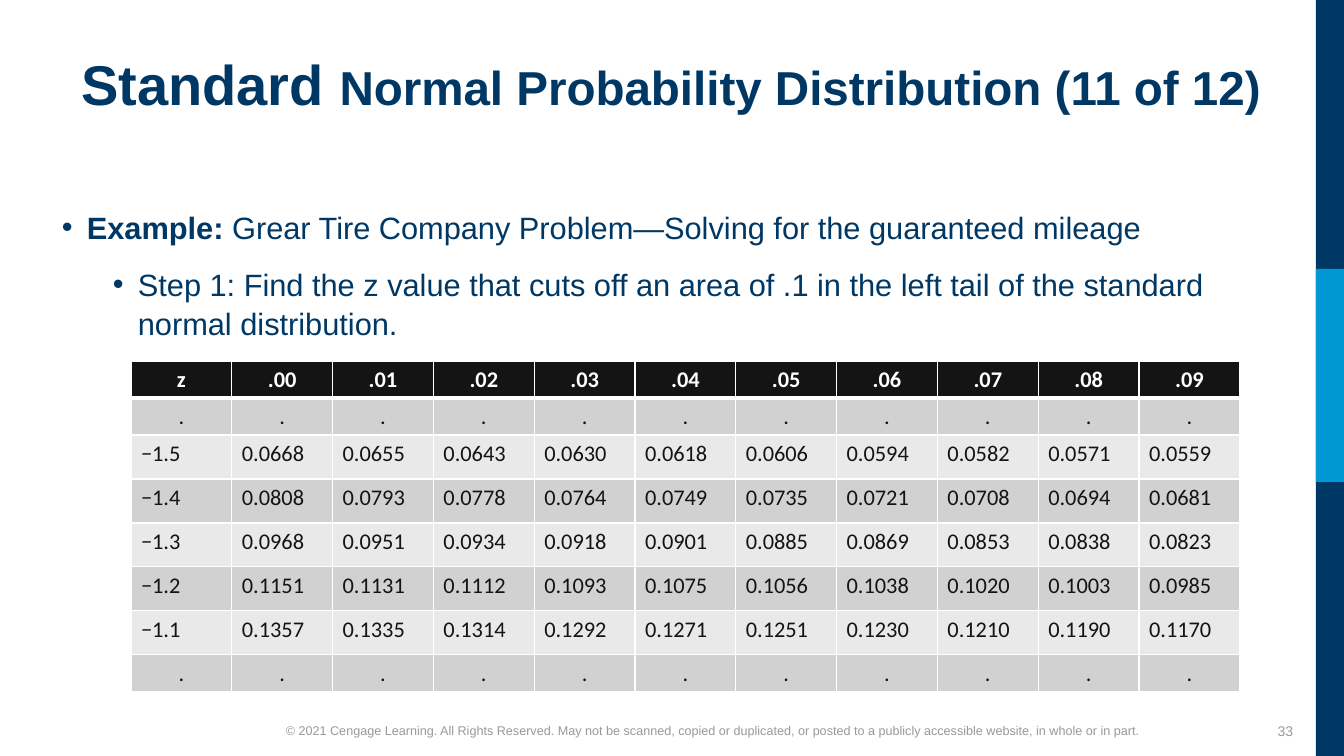
from lxml.etree import SubElement
from pptx import Presentation
from pptx.dml.color import RGBColor as RGB
from pptx.enum.shapes import MSO_SHAPE
from pptx.enum.text import MSO_ANCHOR as ANCHOR, MSO_AUTO_SIZE as AUTOSIZE, PP_ALIGN as ALIGN
from pptx.oxml.ns import qn
from pptx.util import Emu, Pt

THEME = {
    "navy": "003865", "sky": "0098D4", "grey": "96999E", "ink": "141414", "white": "FFFFFF",
    "dark_band": "D1D1D2", "light_band": "E9E9EA",
    "text_font": "Arial", "table_font": "Calibri",
    "title_lead": 40, "title_rest": 34, "body": 22, "table": 16, "page": 10, "legal": 9,
}


def px(*lengths):
    return [Emu(round(length * 914400 / 100.8)) for length in lengths]


def style(run, size, color, bold=False, font="text_font"):
    run.font.name = THEME[font]
    run.font.size = Pt(THEME[size])
    run.font.bold = bold
    run.font.color.rgb = RGB.from_string(THEME[color])


prs = Presentation()
prs.slide_width, prs.slide_height = px(1344, 756)
slide = prs.slides.add_slide(prs.slide_layouts[5])

for color, top, height in [("navy", 0, 756), ("sky", 269, 213)]:
    band = slide.shapes.add_shape(MSO_SHAPE.RECTANGLE, *px(1316, top, 28, height))
    band.shadow.inherit = False
    band.fill.solid()
    band.fill.fore_color.rgb = RGB.from_string(THEME[color])
    band.line.fill.background()

title = slide.shapes.title
title.left, title.top, title.width, title.height = px(52, 52, 1239, 134)
title.text_frame.auto_size = AUTOSIZE.NONE
title.text_frame.vertical_anchor = ANCHOR.TOP
heading = title.text_frame.paragraphs[0]
heading.alignment = ALIGN.CENTER
heading.line_spacing = 0.9
for words, size in [("Standard ", "title_lead"),
                    ("Normal Probability Distribution (11 of 12)", "title_rest")]:
    run = heading.add_run()
    run.text = words
    style(run, size, "navy", bold=True)

example = slide.shapes.add_textbox(*px(52, 202, 1239, 151)).text_frame
example.word_wrap = True
points = [
    (25, 0, [("Example: ", True),
             ("Grear Tire Company Problem—Solving for the guaranteed mileage", False)]),
    (76, 5, [("Step 1: Find the z value that cuts off an area of .1 in the left tail "
              "of the standard normal distribution.", False)]),
]
for level, (indent, before, pieces) in enumerate(points):
    point = example.add_paragraph() if level else example.paragraphs[0]
    point.level = level
    point.line_spacing = 1.05
    point.space_before, point.space_after = Pt(before), Pt(8)
    margin, hang = px(indent, -25)
    props = point._p.get_or_add_pPr()
    props.set("marL", str(margin))
    props.set("indent", str(hang))
    SubElement(SubElement(props, qn("a:buClr")), qn("a:srgbClr"), val=THEME["navy"])
    SubElement(props, qn("a:buFont"), typeface=THEME["text_font"])
    SubElement(props, qn("a:buChar"), char="•")
    for words, bold in pieces:
        run = point.add_run()
        run.text = words
        style(run, "body", "navy", bold)

dots = ["."] * 11
z_rows = [
    ["z"] + [f".0{digit}" for digit in range(10)],
    dots,
    "−1.5 0.0668 0.0655 0.0643 0.0630 0.0618 0.0606 0.0594 0.0582 0.0571 0.0559".split(),
    "−1.4 0.0808 0.0793 0.0778 0.0764 0.0749 0.0735 0.0721 0.0708 0.0694 0.0681".split(),
    "−1.3 0.0968 0.0951 0.0934 0.0918 0.0901 0.0885 0.0869 0.0853 0.0838 0.0823".split(),
    "−1.2 0.1151 0.1131 0.1112 0.1093 0.1075 0.1056 0.1038 0.1020 0.1003 0.0985".split(),
    "−1.1 0.1357 0.1335 0.1314 0.1292 0.1271 0.1251 0.1230 0.1210 0.1190 0.1170".split(),
    dots,
]
z_table = slide.shapes.add_table(len(z_rows), len(dots), *px(131, 361, 1109, 332)).table
for r, values in enumerate(z_rows):
    header = r == 0
    centred = header or values is dots
    z_table.rows[r].height = px(37 if centred else 44)[0]
    fill = "ink" if header else "dark_band" if r % 2 else "light_band"
    for c, value in enumerate(values):
        cell = z_table.cell(r, c)
        cell.text_frame.text = value
        entry = cell.text_frame.paragraphs[0]
        entry.alignment = ALIGN.CENTER if centred else ALIGN.LEFT
        style(entry.runs[0], "table", "white" if header else "ink", header, "table_font")
        for side in "LRTB":
            thick = (r, side) in [(0, "B"), (1, "T")]
            border = SubElement(cell._tc.get_or_add_tcPr(), qn(f"a:ln{side}"),
                                w=str(Pt(3 if thick else 1)))
            SubElement(SubElement(border, qn("a:solidFill")), qn("a:srgbClr"), val=THEME["white"])
        cell.fill.solid()
        cell.fill.fore_color.rgb = RGB.from_string(THEME[fill])

footers = [
    ("33", (1222, 711, 81, 40), "page", ALIGN.RIGHT, ANCHOR.MIDDLE),
    ("© 2021 Cengage Learning. All Rights Reserved. May not be scanned, copied or duplicated, "
     "or posted to a publicly accessible website, in whole or in part.",
     (183, 718, 1059, 25), "legal", ALIGN.CENTER, ANCHOR.TOP),
]
for words, place, size, align, anchor in footers:
    footer = slide.shapes.add_textbox(*px(*place)).text_frame
    footer.word_wrap = True
    footer.vertical_anchor = anchor
    footer.text = words
    footer.paragraphs[0].alignment = align
    style(footer.paragraphs[0].runs[0], size, "grey")

prs.save("out.pptx")
